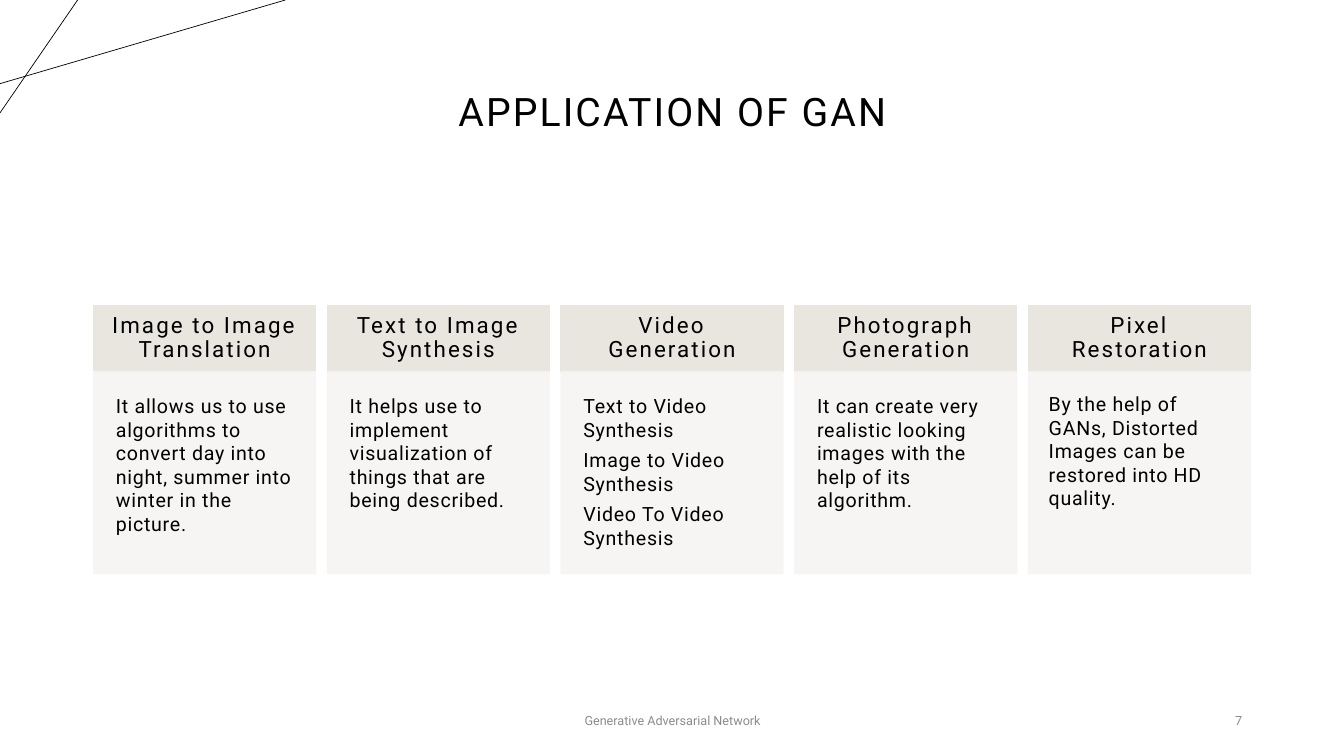
import pptx
import pptx.dml.color
import pptx.enum.shapes
import pptx.enum.text
import pptx.oxml.ns
import pptx.util
from lxml import etree

Inches = pptx.util.Inches
Pt = pptx.util.Pt
RGBColor = pptx.dml.color.RGBColor
ALIGN = pptx.enum.text.PP_ALIGN
ANCHOR = pptx.enum.text.MSO_ANCHOR
qn = pptx.oxml.ns.qn

BLACK = RGBColor(0x00, 0x00, 0x00)
GRAY = RGBColor(0x8C, 0x8C, 0x8C)
HEADER_FILL = RGBColor(0xE9, 0xE6, 0xDF)
BODY_FILL = RGBColor(0xF7, 0xF5, 0xF3)


def write_text(shape, lines, size, color, alignment, anchor,
               tracking=0, line_spacing=None, space_after=0, inset=None):
    frame = shape.text_frame
    frame.word_wrap = True
    frame.auto_size = pptx.enum.text.MSO_AUTO_SIZE.NONE
    frame.vertical_anchor = anchor
    if inset is not None:
        frame.margin_left = frame.margin_right = Inches(inset)
        frame.margin_top = frame.margin_bottom = Inches(inset)
    for index, line in enumerate(lines):
        paragraph = frame.add_paragraph() if index else frame.paragraphs[0]
        paragraph.alignment = alignment
        paragraph.line_spacing = line_spacing
        paragraph.space_after = Pt(space_after)
        run = paragraph.add_run()
        run.text = line
        run.font.name = "Roboto"
        run.font.size = Pt(size)
        run.font.color.rgb = color
        run._r.get_or_add_rPr().set("spc", str(int(tracking * 100)))


def add_panel(slide, left, top, width, height, color):
    shape = slide.shapes.add_shape(
        pptx.enum.shapes.MSO_SHAPE.RECTANGLE,
        Inches(left), Inches(top), Inches(width), Inches(height))
    shape.shadow.inherit = False
    shape.fill.solid()
    shape.fill.fore_color.rgb = color
    shape.line.color.rgb = color
    shape.line.width = Pt(1)
    return shape


presentation = pptx.Presentation()
presentation.slide_width = Inches(13.33)
presentation.slide_height = Inches(7.5)
slide = presentation.slides.add_slide(presentation.slide_layouts[5])

for x1, y1, x2, y2 in [(0, 0.83, 2.83, 0), (0.77, 0, 0, 1.12)]:
    connector = slide.shapes.add_connector(
        pptx.enum.shapes.MSO_CONNECTOR.STRAIGHT,
        Inches(x1), Inches(y1), Inches(x2), Inches(y2))
    connector.line.color.rgb = BLACK
    connector.line.width = Pt(0.5)
    etree.SubElement(connector._element.spPr, qn("a:effectLst"))

title = slide.shapes.title
title.left, title.top = Inches(0.92), Inches(0.4)
title.width, title.height = Inches(11.5), Inches(1.45)
write_text(title, ["APPLICATION OF GAN"], 28, BLACK, ALIGN.CENTER, ANCHOR.MIDDLE,
           tracking=1.5, line_spacing=0.9)

applications = [
    ("Image to Image Translation",
     ["It allows us to use algorithms to convert day into night, "
      "summer into winter in the picture."], 0.22),
    ("Text to Image Synthesis",
     ["It helps use to implement visualization of things that are being described."],
     0.22),
    ("Video Generation",
     ["Text to Video Synthesis", "Image to Video Synthesis",
      "Video To Video Synthesis"], 0.22),
    ("Photograph Generation",
     ["It can create very realistic looking images with the help of its algorithm."],
     0.22),
    ("Pixel Restoration",
     ["By the help of GANs, Distorted Images can be restored into HD quality."], 0.2),
]
first_left, column_pitch, column_width = 0.93, 2.318, 2.2
header_top, header_height, body_height = 3.03, 0.66, 2

for column, (heading, lines, body_inset) in enumerate(applications):
    left = first_left + column * column_pitch
    header = add_panel(slide, left, header_top, column_width, header_height, HEADER_FILL)
    write_text(header, [heading], 16, BLACK, ALIGN.CENTER, ANCHOR.MIDDLE,
               tracking=1.5, line_spacing=0.9, inset=0.17)
    body = add_panel(slide, left, header_top + header_height,
                     column_width, body_height, BODY_FILL)
    for color_element in body._element.spPr.iter(qn("a:srgbClr")):
        etree.SubElement(color_element, qn("a:alpha")).set("val", "90000")
    write_text(body, lines, 14, BLACK, ALIGN.LEFT, ANCHOR.TOP,
               tracking=0.5, space_after=4.9, inset=body_inset)

for text, left, width, alignment in [
    ("Generative Adversarial Network", 4.42, 4.5, ALIGN.CENTER),
    ("7", 9.42, 3, ALIGN.RIGHT),
]:
    footer = slide.shapes.add_textbox(
        Inches(left), Inches(6.95), Inches(width), Inches(0.4))
    write_text(footer, [text], 9, GRAY, alignment, ANCHOR.MIDDLE)

presentation.save("out.pptx")
